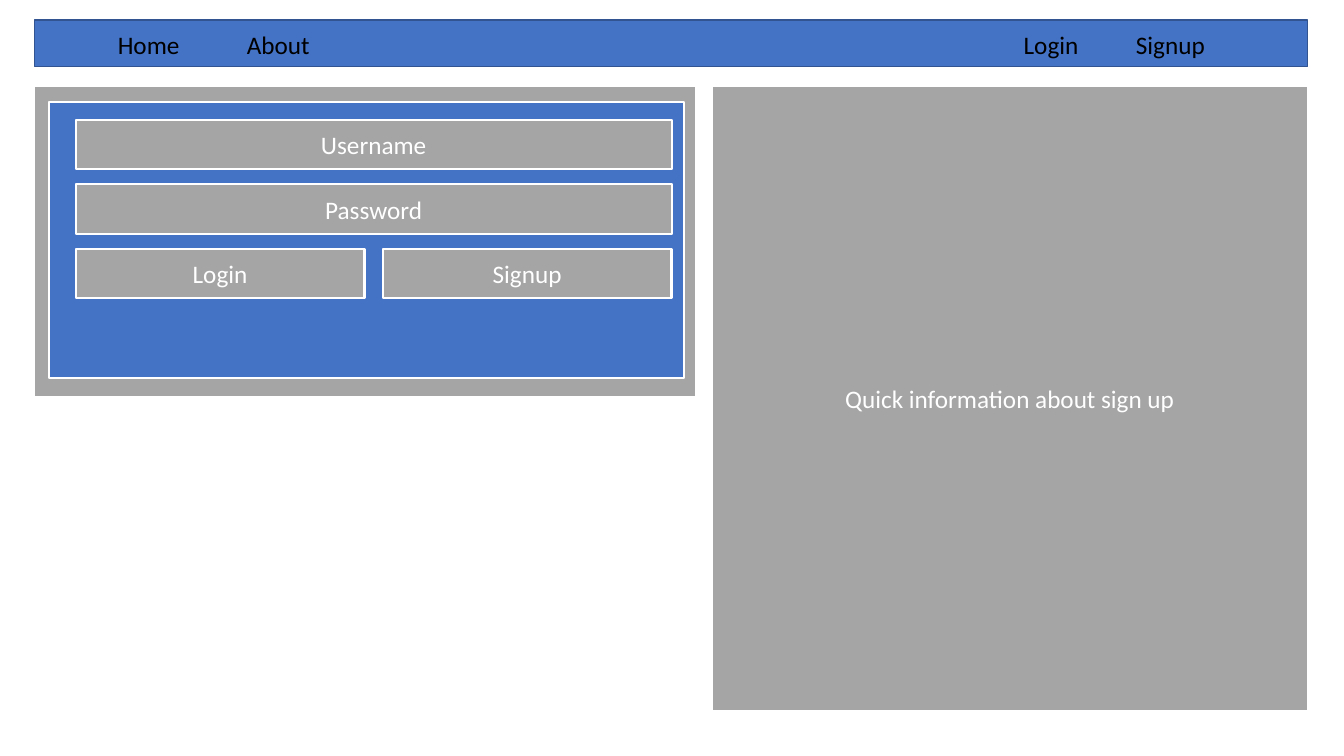
from dataclasses import dataclass

from lxml import etree
from pptx import Presentation
from pptx import util as u
from pptx.dml.color import RGBColor
from pptx.enum import shapes, text
from pptx.oxml import ns


@dataclass(frozen=True)
class Theme:
    font: str = "Calibri"
    size: float = 18
    blue: str = "4472C4"
    navy: str = "325491"
    gray: str = "A5A5A5"
    white: str = "FFFFFF"
    black: str = "000000"
    thin: float = 1
    regular: float = 1.5


@dataclass(frozen=True)
class Area:
    """Left, top, width and height in percent of the slide."""
    left: float
    top: float
    width: float
    height: float


@dataclass(frozen=True)
class Block:
    area: Area
    fill: str
    label: str = ""
    line: str = Theme.white
    weight: float = Theme.regular


@dataclass(frozen=True)
class FieldGrid:
    left: float
    top: float
    width: float
    height: float
    pitch: float
    gutter: float

    def cell(self, row: int, column: int = 0, columns: int = 1) -> Area:
        width = (self.width - self.gutter * (columns - 1)) / columns
        return Area(self.left + column * (width + self.gutter),
                    self.top + row * self.pitch, width, self.height)


THEME = Theme()
deck = Presentation()
deck.slide_width, deck.slide_height = u.Inches(13.33), u.Inches(7.5)
page = deck.slides.add_slide(deck.slide_layouts[6])


def across(percent: float) -> int:
    return round(deck.slide_width * percent / 100)


def down(percent: float) -> int:
    return round(deck.slide_height * percent / 100)


def bounds(area: Area) -> tuple[int, int, int, int]:
    return across(area.left), down(area.top), across(area.width), down(area.height)


def style(paragraph, color: str) -> None:
    paragraph.font.name = THEME.font
    paragraph.font.size = u.Pt(THEME.size)
    paragraph.font.color.rgb = RGBColor.from_string(color)


def draw_block(block: Block) -> None:
    box = page.shapes.add_shape(shapes.MSO_SHAPE.RECTANGLE, *bounds(block.area))
    box.shadow.inherit = False
    box.fill.solid()
    box.fill.fore_color.rgb = RGBColor.from_string(block.fill)
    box.line.color.rgb = RGBColor.from_string(block.line)
    box.line.width = u.Pt(block.weight)
    if block.label:
        box.text_frame.vertical_anchor = text.MSO_ANCHOR.MIDDLE
        caption = box.text_frame.paragraphs[0]
        caption.text = block.label
        caption.alignment = text.PP_ALIGN.CENTER
        style(caption, THEME.white)


def draw_menu(area: Area, entries: list[str], stops: list[float]) -> None:
    frame = page.shapes.add_textbox(*bounds(area)).text_frame
    frame.word_wrap = True
    menu = frame.paragraphs[0]
    menu.text = "\t".join(entries)
    style(menu, THEME.black)
    tabs = etree.Element(ns.qn("a:tabLst"))
    for stop in stops:
        etree.SubElement(tabs, ns.qn("a:tab"), pos=str(across(stop)), algn="l")
    menu._p.get_or_add_pPr().insert(0, tabs)


fields = FieldGrid(left=5.63, top=15.87, width=44.34, height=6.53, pitch=8.53, gutter=1.35)

draw_block(Block(Area(2.55, 2.67, 94.75, 6.13), THEME.blue, line=THEME.navy, weight=THEME.thin))
draw_menu(Area(8.03, 3.2, 86.65, 5.33), ["Home", "About", "Login", "Signup"], [9.6, 67.4, 75.75])

for block in (
    Block(Area(2.55, 11.33, 49.21, 41.2), THEME.gray),
    Block(Area(3.68, 13.47, 47.19, 36.53), THEME.blue),
    Block(Area(52.96, 11.33, 44.34, 82.67), THEME.gray, "Quick information about sign up"),
    Block(fields.cell(0), THEME.gray, "Username"),
    Block(fields.cell(1), THEME.gray, "Password"),
    Block(fields.cell(2, 0, 2), THEME.gray, "Login"),
    Block(fields.cell(2, 1, 2), THEME.gray, "Signup"),
):
    draw_block(block)

deck.save("out.pptx")
